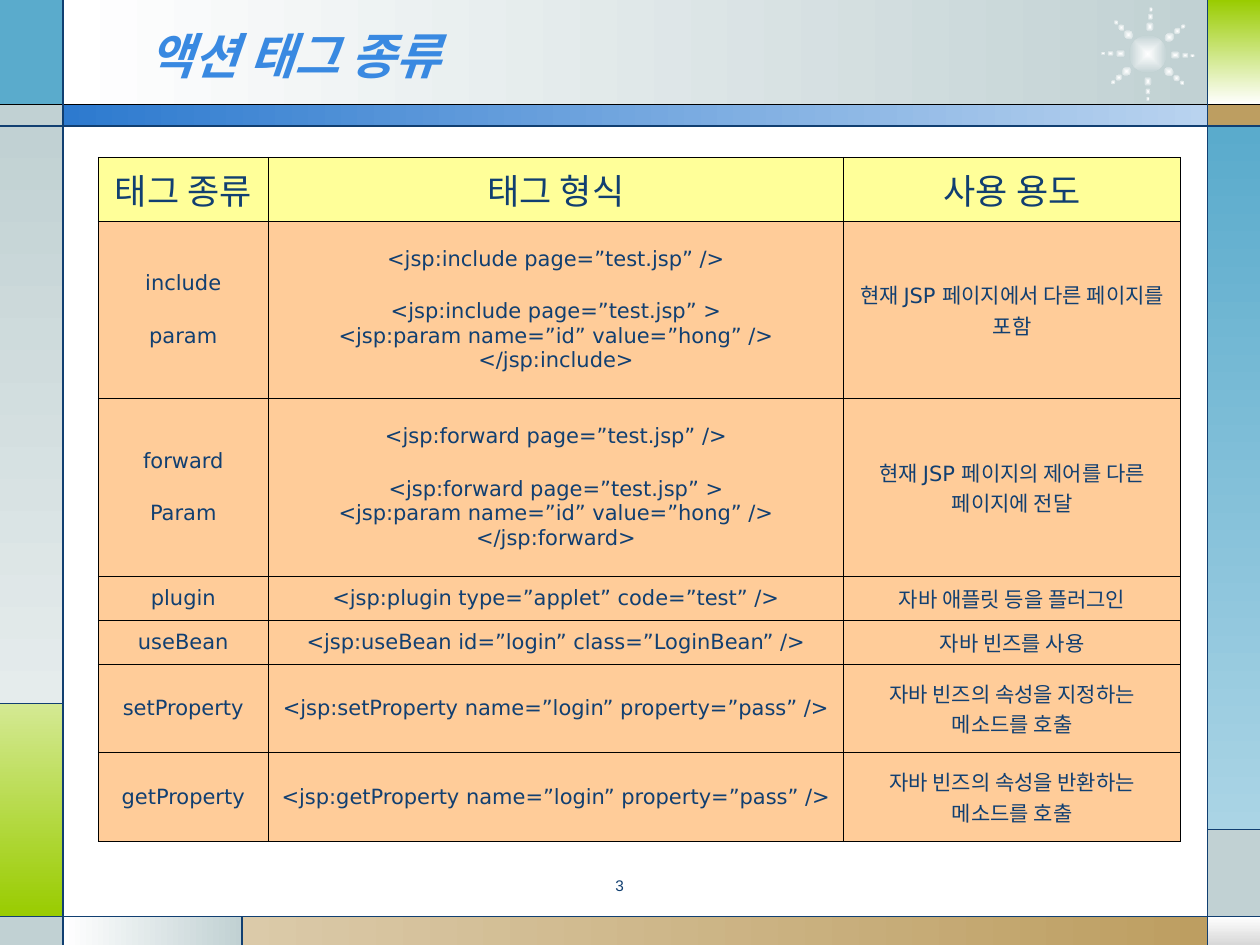
import math

import lxml.etree
import pptx
import pptx.dml.color
import pptx.enum.shapes
import pptx.enum.text
import pptx.oxml
import pptx.oxml.ns
import pptx.util

Cm = pptx.util.Cm
Pt = pptx.util.Pt
RGBColor = pptx.dml.color.RGBColor
SHAPE = pptx.enum.shapes.MSO_SHAPE
ALIGN = pptx.enum.text.PP_ALIGN
ANCHOR = pptx.enum.text.MSO_ANCHOR
qn = pptx.oxml.ns.qn

WHITE = RGBColor(0xFF, 0xFF, 0xFF)
BLACK = RGBColor(0x00, 0x00, 0x00)
NAVY = RGBColor(0x11, 0x3F, 0x71)
TITLE_BLUE = RGBColor(0x39, 0x89, 0xE1)
BAR_BLUE = RGBColor(0x2D, 0x7A, 0xCF)
PALE_BLUE = RGBColor(0xB9, 0xD3, 0xEF)
TEAL = RGBColor(0x5A, 0xAB, 0xCC)
PALE_TEAL = RGBColor(0xAA, 0xD4, 0xE5)
GRAY = RGBColor(0xC1, 0xD1, 0xD3)
PALE_GRAY = RGBColor(0xE5, 0xEC, 0xEC)
SILVER = RGBColor(0xD8, 0xD8, 0xD8)
GREEN = RGBColor(0x99, 0xCC, 0x00)
PALE_GREEN = RGBColor(0xD4, 0xE9, 0x93)
TAN = RGBColor(0xBD, 0x9E, 0x61)
PALE_TAN = RGBColor(0xDB, 0xCA, 0xA9)
YELLOW = RGBColor(0xFF, 0xFF, 0x99)
PEACH = RGBColor(0xFF, 0xCC, 0x99)

KOREAN_FONT = "Noto Sans CJK KR"
BODY_FONT = "DejaVu Sans"

COLUMN_WIDTHS = [3.43, 11.6, 6.79]
ROW_HEIGHTS = [1.19, 3.58, 3.58, 0.89, 0.89, 1.78, 1.78]
TAG_ROWS = [
    ("태그 종류", "태그 형식", "사용 용도"),
    ("include\n\nparam",
     "<jsp:include page=”test.jsp” />\n\n<jsp:include page=”test.jsp” >\n"
     "<jsp:param name=”id” value=”hong” />\n</jsp:include>",
     "현재 JSP 페이지에서 다른 페이지를 포함"),
    ("forward\n\nParam",
     "<jsp:forward page=”test.jsp” />\n\n<jsp:forward page=”test.jsp” >\n"
     "<jsp:param name=”id” value=”hong” />\n</jsp:forward>",
     "현재 JSP 페이지의 제어를 다른 페이지에 전달"),
    ("plugin", "<jsp:plugin type=”applet” code=”test” />", "자바 애플릿 등을 플러그인"),
    ("useBean", "<jsp:useBean id=”login” class=”LoginBean” />", "자바 빈즈를 사용"),
    ("setProperty", "<jsp:setProperty name=”login” property=”pass” />",
     "자바 빈즈의 속성을 지정하는 메소드를 호출"),
    ("getProperty", "<jsp:getProperty name=”login” property=”pass” />",
     "자바 빈즈의 속성을 반환하는 메소드를 호출"),
]


def add_filled_shape(shapes, kind, box, colors, angle=0):
    shape = shapes.add_shape(kind, *(Cm(length) for length in box))
    shape.shadow.inherit = False
    shape.line.fill.background()
    if len(colors) == 1:
        shape.fill.solid()
        shape.fill.fore_color.rgb = colors[0]
        return shape
    shape.fill.gradient()
    shape.fill.gradient_angle = 360 - angle
    for stop, color in zip(shape.fill.gradient_stops, colors):
        stop.color.rgb = color
    return shape


def add_rule(shapes, start, end, color=NAVY):
    connector = shapes.add_connector(
        pptx.enum.shapes.MSO_CONNECTOR.STRAIGHT,
        *(Cm(length) for length in (*start, *end)))
    connector.line.color.rgb = color
    connector.line.width = Pt(0.75)
    lxml.etree.SubElement(connector._element.spPr, qn("a:effectLst"))


def add_run(paragraph, text, font_name, size, color):
    run = paragraph.add_run()
    run.text = text
    run.font.name = font_name
    run.font.size = Pt(size)
    run.font.color.rgb = color
    east_asian = lxml.etree.SubElement(run._r.get_or_add_rPr(), qn("a:ea"))
    east_asian.set("typeface", KOREAN_FONT)
    return run


def add_frame(slide, left, top, width, height):
    right, bottom = left + width, top + height
    inner_left, inner_right = left + 1.27, right - 1.06
    header, body = top + 2.11, top + 2.54
    left_split, right_split, footer = top + 14.18, top + 16.72, top + 18.47
    footer_split = left + 4.88
    panels = [
        (inner_left, top, inner_right, header, [WHITE, GRAY], 0),
        (left, top, inner_left, header, [TEAL], 0),
        (left, header, inner_left, body, [GRAY], 0),
        (left, body, inner_left, left_split, [GRAY, PALE_GRAY], 90),
        (left, left_split, inner_left, footer, [PALE_GREEN, GREEN], 90),
        (left, footer, inner_left, bottom, [GRAY], 0),
        (inner_left, footer, footer_split, bottom, [WHITE, GRAY], 0),
        (footer_split, footer, inner_right, bottom, [PALE_TAN, TAN], 0),
        (inner_right, footer, right, bottom, [WHITE, SILVER], 90),
        (inner_right, right_split, right, footer, [GRAY], 0),
        (inner_right, body, right, right_split, [TEAL, PALE_TEAL], 90),
        (inner_right, header, right, body, [TAN], 0),
        (inner_right, top, right, header, [GREEN, WHITE], 90),
        (inner_left, header, inner_right, body, [BAR_BLUE, PALE_BLUE], 0),
    ]
    for x1, y1, x2, y2, colors, angle in panels:
        add_filled_shape(slide.shapes, SHAPE.RECTANGLE,
                         (x1, y1, x2 - x1, y2 - y1), colors, angle)
    add_rule(slide.shapes, (left, header), (right, header), BLACK)
    for y in (body, footer):
        add_rule(slide.shapes, (left, y), (right, y))
    for x in (inner_left, inner_right):
        add_rule(slide.shapes, (x, top), (x, bottom))
    add_rule(slide.shapes, (left, left_split), (inner_left, left_split))
    add_rule(slide.shapes, (footer_split, footer), (footer_split, bottom))
    add_rule(slide.shapes, (inner_right, right_split), (right, right_split))


def add_glowing_dot(shapes, center_x, center_y, width, height, rotation):
    box = (center_x - width / 2, center_y - height / 2, width, height)
    dot = add_filled_shape(shapes, SHAPE.OVAL, box, [WHITE, GRAY])
    dot.rotation = rotation
    linear = dot._element.spPr.find(".//" + qn("a:lin"))
    glow = lxml.etree.Element(qn("a:path"), {"path": "rect"})
    lxml.etree.SubElement(glow, qn("a:fillToRect"),
                          {side: "50000" for side in "ltrb"})
    linear.getparent().replace(linear, glow)


def add_starburst(slide, left, top, width, height):
    center_x, center_y = left + width / 2, top + height / 2
    group = slide.shapes.add_group_shape()
    add_glowing_dot(group.shapes, center_x, center_y, 0.76, 0.76, 2.5)
    ray_dots = [(0.3, 0.2, 0.17), (0.41, 0.14, 0.12), (0.49, 0.1, 0.08)]
    for angle in (2, 40, 90, 141, 181, 225, 274, 322):
        x_step = math.cos(math.radians(angle)) * width
        y_step = math.sin(math.radians(angle)) * height
        for distance, dot_width, dot_height in ray_dots:
            add_glowing_dot(group.shapes, center_x + distance * x_step,
                            center_y + distance * y_step,
                            dot_width, dot_height, angle)


def format_title(slide, left, top, width, height):
    title = slide.shapes.title
    slide.shapes._spTree.append(title._element)
    title.left, title.top = Cm(left), Cm(top)
    title.width, title.height = Cm(width), Cm(height)
    title.text_frame.auto_size = pptx.enum.text.MSO_AUTO_SIZE.NONE
    title.text_frame.vertical_anchor = ANCHOR.MIDDLE
    paragraph = title.text_frame.paragraphs[0]
    paragraph.alignment = ALIGN.LEFT
    run = add_run(paragraph, "액션 태그 종류", KOREAN_FONT, 28, TITLE_BLUE)
    run.font.bold = True
    run.font.italic = True


def format_cell(cell, text, size, color):
    properties = cell._tc.get_or_add_tcPr()
    for side in ("lnL", "lnR", "lnT", "lnB"):
        border = lxml.etree.SubElement(properties, qn("a:" + side),
                                       {"w": str(Pt(0.45))})
        fill = lxml.etree.SubElement(border, qn("a:solidFill"))
        lxml.etree.SubElement(fill, qn("a:srgbClr"), {"val": str(BLACK)})
    cell.fill.solid()
    cell.fill.fore_color.rgb = color
    cell.vertical_anchor = ANCHOR.MIDDLE
    cell.margin_left = cell.margin_right = Cm(0.18)
    cell.margin_top = cell.margin_bottom = Cm(0.13)
    paragraph = None
    for block in text.split("\n\n"):
        for index, line in enumerate(block.split("\n")):
            starts_later_block = paragraph is not None and index == 0
            paragraph = (cell.text_frame.paragraphs[0] if paragraph is None
                         else cell.text_frame.add_paragraph())
            paragraph.alignment = ALIGN.CENTER
            if starts_later_block:
                paragraph.space_before = Pt(16)
            add_run(paragraph, line, BODY_FONT, size, NAVY)


def add_tag_table(slide, left, top, width, height):
    table = slide.shapes.add_table(
        len(ROW_HEIGHTS), len(COLUMN_WIDTHS),
        Cm(left), Cm(top), Cm(width), Cm(height)).table
    table.first_row = table.horz_banding = False
    for column, column_width in zip(table.columns, COLUMN_WIDTHS):
        column.width = Cm(column_width)
    for row_index, texts in enumerate(TAG_ROWS):
        table.rows[row_index].height = Cm(ROW_HEIGHTS[row_index])
        size, color = (12, PEACH) if row_index else (20, YELLOW)
        for cell, text in zip(table.rows[row_index].cells, texts):
            format_cell(cell, text, size, color)


def add_page_number(slide, left, top, width, height):
    box = slide.shapes.add_textbox(Cm(left), Cm(top), Cm(width), Cm(height))
    box.text_frame.word_wrap = True
    paragraph = box.text_frame.paragraphs[0]
    paragraph.alignment = ALIGN.CENTER
    paragraph.line_spacing = 0.8
    add_run(paragraph, "3", "Arial", 8.8, NAVY)


def main():
    presentation = pptx.Presentation()
    presentation.slide_width, presentation.slide_height = Cm(25.4), Cm(19.05)
    slide = presentation.slides.add_slide(presentation.slide_layouts[5])
    add_frame(slide, 0, 0, 25.4, 19.05)
    add_starburst(slide, 22.22, 0.17, 1.84, 1.84)
    format_title(slide, 2.74, 0.33, 18.62, 1.57)
    add_tag_table(slide, 1.98, 3.17, sum(COLUMN_WIDTHS), sum(ROW_HEIGHTS))
    add_page_number(slide, 9.53, 17.6, 5.92, 0.69)
    presentation.save("out.pptx")


if __name__ == "__main__":
    main()
